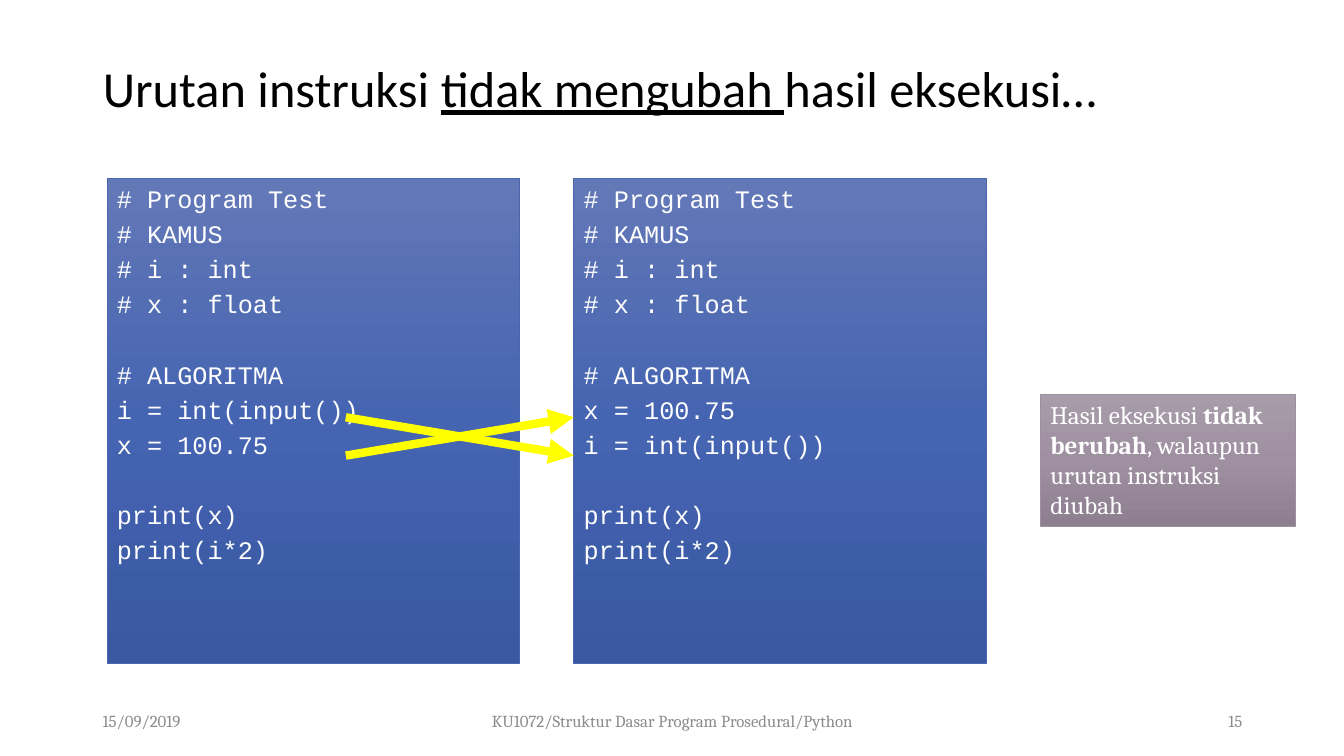
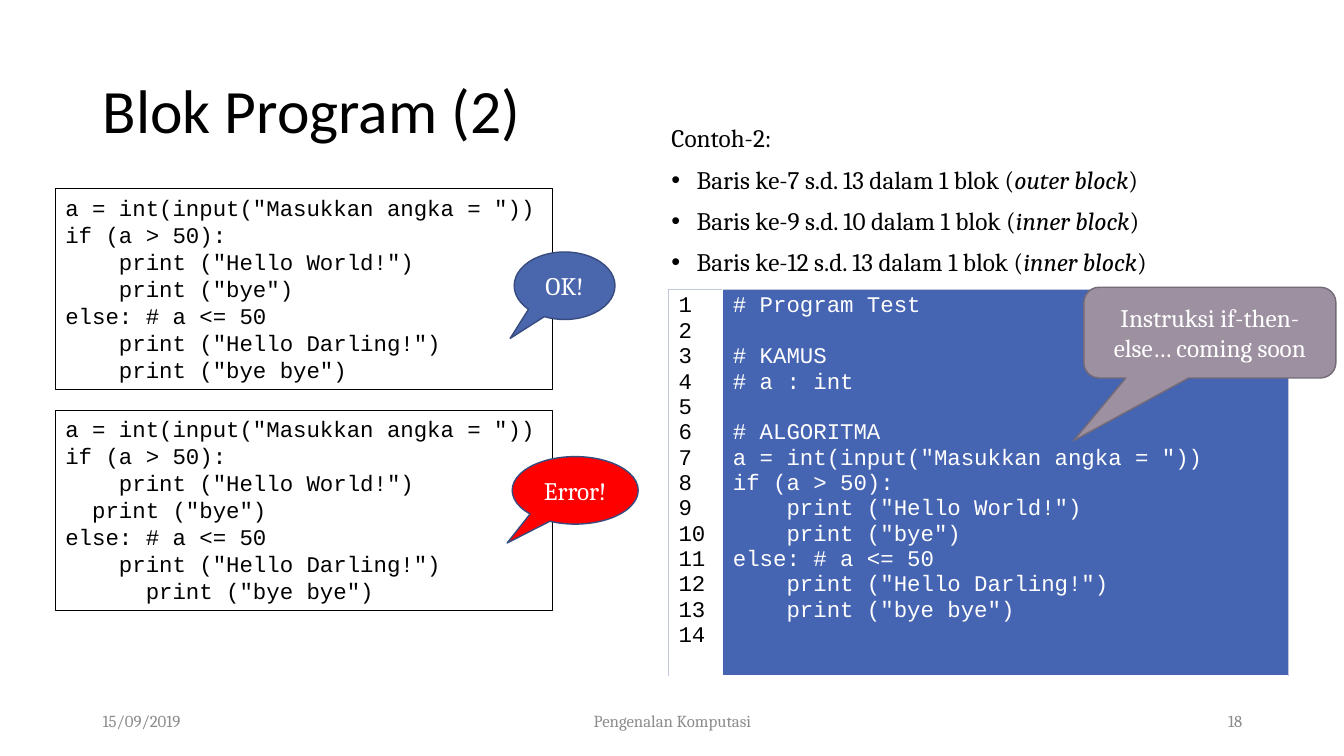
from copy import deepcopy
from dataclasses import dataclass

from lxml import etree
from pptx import Presentation
from pptx.dml.color import RGBColor
from pptx.enum.shapes import MSO_CONNECTOR, MSO_SHAPE
from pptx.enum.text import MSO_ANCHOR, MSO_AUTO_SIZE, PP_ALIGN
from pptx.oxml.ns import qn
from pptx.util import Inches, Pt


@dataclass(frozen=True)
class Theme:
    heading: str = "Calibri"
    body: str = "Cambria"
    code: str = "Courier New"
    black: str = "000000"
    white: str = "FFFFFF"
    grey: str = "8C8C8C"
    blue: str = "4A66AC"
    navy: str = "374B7F"
    listing_blue: str = "4564B1"
    mauve: str = "9D90A0"
    dark_mauve: str = "746B76"
    red: str = "FF0000"
    yellow: str = "FFFF00"
    border: str = "C1C6DB"
    blue_blend: tuple = ("6378B7", "4564B1", "3957A2")
    mauve_blend: tuple = ("A89CAA", "9E8FA1", "8D7E90")
    title_size: int = 44
    long_title_size: int = 36
    text_size: int = 18
    listing_size: int = 16
    footer_size: int = 12


THEME = Theme()
PROGRAM_HEAD = ["# Program Test", "# KAMUS", "# i : int", "# x : float", "", "# ALGORITMA"]
PROGRAM_TAIL = ["", "print(x)", "print(i*2)"]
READ_I = "i = int(input())"
SET_X = "x = 100.75"


def color(value):
    return RGBColor.from_string(value)


def area(left, top, width, height):
    return [Inches(length) for length in (left, top, width, height)]


def apply(target, values):
    for name, value in values.items():
        setattr(target, name, value)


def style(font, size, ink):
    return {"name": font, "size": Pt(size), "ink": ink}


def format_span(span, values):
    values = dict(values)
    span.font.color.rgb = color(values.pop("ink"))
    apply(span.font, values)


def keep_empty_line(para, look):
    size = str(int(look["size"].pt * 100))
    ending = etree.SubElement(para._p, qn("a:endParaRPr"), sz=size)
    etree.SubElement(ending, qn("a:latin"), typeface=look["name"])


def write(frame, paras, look, layout=None):
    frame.word_wrap = True
    for index, content in enumerate(paras):
        para = frame.paragraphs[0] if index == 0 else frame.add_paragraph()
        apply(para, {"alignment": PP_ALIGN.LEFT, **(layout or {})})
        if not content:
            keep_empty_line(para, look)
            continue
        for piece in [content] if isinstance(content, str) else content:
            text, extra = (piece, {}) if isinstance(piece, str) else piece
            span = para.add_run()
            span.text = text
            format_span(span, {**look, **extra})


def paint(shape, fill, line, width):
    shape.shadow.inherit = False
    if fill is None:
        shape.fill.background()
    elif isinstance(fill, str):
        shape.fill.solid()
        shape.fill.fore_color.rgb = color(fill)
    else:
        shape.fill.gradient()
        shape.fill.gradient_angle = 270
        stops = shape._element.spPr.find(qn("a:gradFill")).find(qn("a:gsLst"))
        stops.append(deepcopy(stops[-1]))
        for index, stop in enumerate(shape.fill.gradient_stops):
            stop.position = index / 2
            stop.color.rgb = color(fill[index])
    shape.line.color.rgb = color(line)
    shape.line.width = Pt(width)


def add_panel(page, place, paras, look, fill, line, width, layout=None):
    panel = page.shapes.add_shape(MSO_SHAPE.RECTANGLE, *area(*place))
    paint(panel, fill, line, width)
    panel.text_frame.vertical_anchor = MSO_ANCHOR.TOP
    write(panel.text_frame, paras, look, layout)


def add_callout(page, kind, place, text, fill, line, adjustments):
    callout = page.shapes.add_shape(kind, *area(*place))
    paint(callout, fill, line, 1)
    for index, value in enumerate(adjustments):
        callout.adjustments[index] = value
    callout.text_frame.vertical_anchor = MSO_ANCHOR.MIDDLE
    write(callout.text_frame, [text], style(THEME.body, THEME.text_size, THEME.white),
          {"alignment": PP_ALIGN.CENTER})


def add_arrow(page, start, end):
    arrow = page.shapes.add_connector(
        MSO_CONNECTOR.STRAIGHT, *[Inches(length) for length in (*start, *end)])
    arrow.line.color.rgb = color(THEME.yellow)
    arrow.line.width = Pt(6)
    etree.SubElement(arrow.line._get_or_add_ln(), qn("a:tailEnd"), type="triangle")
    etree.SubElement(arrow._element.spPr, qn("a:effectLst"))


def place_holder(box, place, anchor):
    apply(box, dict(zip(("left", "top", "width", "height"), area(*place))))
    apply(box.text_frame, {"vertical_anchor": anchor, "auto_size": MSO_AUTO_SIZE.NONE})


def add_page(deck, layout, title, size, height, footer, number):
    page = deck.slides.add_slide(deck.slide_layouts[layout])
    place_holder(page.shapes.title, (0.92, 0.4, 11.5, height), MSO_ANCHOR.MIDDLE)
    write(page.shapes.title.text_frame, [title], style(THEME.heading, size, THEME.black),
          {"line_spacing": 0.9})
    for left, width, text, alignment in (
        (0.92, 3, "15/09/2019", PP_ALIGN.LEFT),
        (4.42, 4.5, footer, PP_ALIGN.CENTER),
        (9.42, 3, number, PP_ALIGN.RIGHT),
    ):
        box = page.shapes.add_textbox(*area(left, 6.95, width, 0.4))
        box.text_frame.vertical_anchor = MSO_ANCHOR.MIDDLE
        write(box.text_frame, [text], style(THEME.body, THEME.footer_size, THEME.grey),
              {"alignment": alignment})
    return page


def add_bullets(page, place, paras):
    body = page.placeholders[1]
    place_holder(body, place, MSO_ANCHOR.TOP)
    write(body.text_frame, paras, style(THEME.body, THEME.text_size, THEME.black),
          {"line_spacing": 0.9, "space_before": Pt(10)})
    for index, para in enumerate(body.text_frame.paragraphs):
        properties = para._p.get_or_add_pPr()
        indent = Inches(0.25) if index else 0
        properties.set("marL", str(indent))
        properties.set("indent", str(-indent))
        if index:
            etree.SubElement(properties, qn("a:buChar"), char="•")
        else:
            etree.SubElement(properties, qn("a:buNone"))


def set_border(cell, side, ink, width):
    properties = cell._tc.get_or_add_tcPr()
    line = etree.SubElement(properties, qn(f"a:ln{side}"), w=str(Pt(width)))
    fill = etree.SubElement(line, qn("a:solidFill"))
    etree.SubElement(fill, qn("a:srgbClr"), val=ink)


def add_numbered_listing(page, place, number_width, lines, count):
    table = page.shapes.add_table(1, 2, *area(*place)).table
    apply(table, {"first_row": False, "horz_banding": False})
    table.columns[0].width = Inches(number_width)
    table.columns[1].width = Inches(place[2] - number_width)
    numbers = [str(number) for number in range(1, count + 1)]
    for cell, paras, fill, ink, side in zip(
        table.rows[0].cells, (numbers, lines), (THEME.white, THEME.listing_blue),
        (THEME.black, THEME.white), "LR",
    ):
        set_border(cell, side, THEME.border, 0.5)
        set_border(cell, "T", THEME.border, 0.5)
        set_border(cell, "B", THEME.white, 1.5)
        cell.fill.solid()
        cell.fill.fore_color.rgb = color(fill)
        write(cell.text_frame, paras, style(THEME.code, THEME.listing_size, ink))


def branch_code(indents):
    hello, bye, darling, bye_bye = [
        " " * indent + f'print ("{text}")'
        for indent, text in zip(indents, ("Hello World!", "bye", "Hello Darling!", "bye bye"))
    ]
    return ['a = int(input("Masukkan angka = "))', "if (a > 50):", hello, bye,
            "else: # a <= 50", darling, bye_bye]


def build_order_page(deck):
    title = ["Urutan instruksi ", ("tidak mengubah ", {"underline": True}), "hasil eksekusi…"]
    page = add_page(deck, 5, title, THEME.long_title_size, 1,
                    "KU1072/Struktur Dasar Program Prosedural/Python", "15")
    for left, steps in ((1.06, [READ_I, SET_X]), (5.69, [SET_X, READ_I])):
        add_panel(page, (left, 1.77, 4.09, 4.81), PROGRAM_HEAD + steps + PROGRAM_TAIL,
                  style(THEME.code, THEME.text_size, THEME.white),
                  THEME.blue_blend, THEME.blue, 0.5,
                  {"line_spacing": Pt(21.5), "space_before": Pt(3.6)})
    upper, lower = 4.14, 4.52
    for start, end in ((lower, upper), (upper, lower)):
        add_arrow(page, (3.43, start), (5.69, end))
    remark = ["Hasil eksekusi ", ("tidak berubah", {"bold": True}),
              ", walaupun urutan instruksi diubah"]
    add_panel(page, (10.32, 3.91, 2.53, 1.31), [remark],
              style(THEME.body, THEME.text_size, THEME.white),
              THEME.mauve_blend, THEME.mauve, 0.5)


def build_block_page(deck):
    page = add_page(deck, 1, "Blok Program (2)", THEME.title_size, 1.45,
                    "Pengenalan Komputasi", "18")
    aligned = branch_code((4, 4, 4, 4))
    for top, lines in ((1.87, aligned), (4.07, branch_code((4, 2, 4, 6)))):
        add_panel(page, (0.55, top, 4.93, 1.99), lines,
                  style(THEME.code, THEME.listing_size, THEME.black),
                  None, THEME.black, 0.75, {"line_spacing": Pt(19.3)})
    for place, text, fill in (
        ((5.1, 2.5, 1, 0.67), "OK!", THEME.blue),
        ((5.08, 4.53, 1.25, 0.67), "Error!", THEME.red),
    ):
        add_callout(page, MSO_SHAPE.OVAL_CALLOUT, place, text, fill, THEME.navy, (-0.54, 0.78))
    blocks = [
        [f"Baris ke-{rows} dalam 1 blok (", (f"{kind} block", {"italic": True}), ")"]
        for rows, kind in (("7 s.d. 13", "outer"), ("9 s.d. 10", "inner"), ("12 s.d. 13", "inner"))
    ]
    add_bullets(page, (6.56, 1.2, 6.15, 1.67), ["Contoh-2:", *blocks])
    listing = ["# Program Test", "", "# KAMUS", "# a : int", "", "# ALGORITMA", *aligned]
    add_numbered_listing(page, (6.63, 2.87, 6.15, 3.83), 0.54, listing, 14)
    add_callout(page, MSO_SHAPE.ROUNDED_RECTANGULAR_CALLOUT, (10.75, 2.85, 2.5, 0.9),
                "Instruksi if-then-else… coming soon", THEME.mauve, THEME.dark_mauve,
                (-0.54, 1.19, 0.17))


def main():
    deck = Presentation()
    apply(deck, {"slide_width": Inches(13.33), "slide_height": Inches(7.5)})
    build_order_page(deck)
    build_block_page(deck)
    deck.save("out.pptx")


if __name__ == "__main__":
    main()
